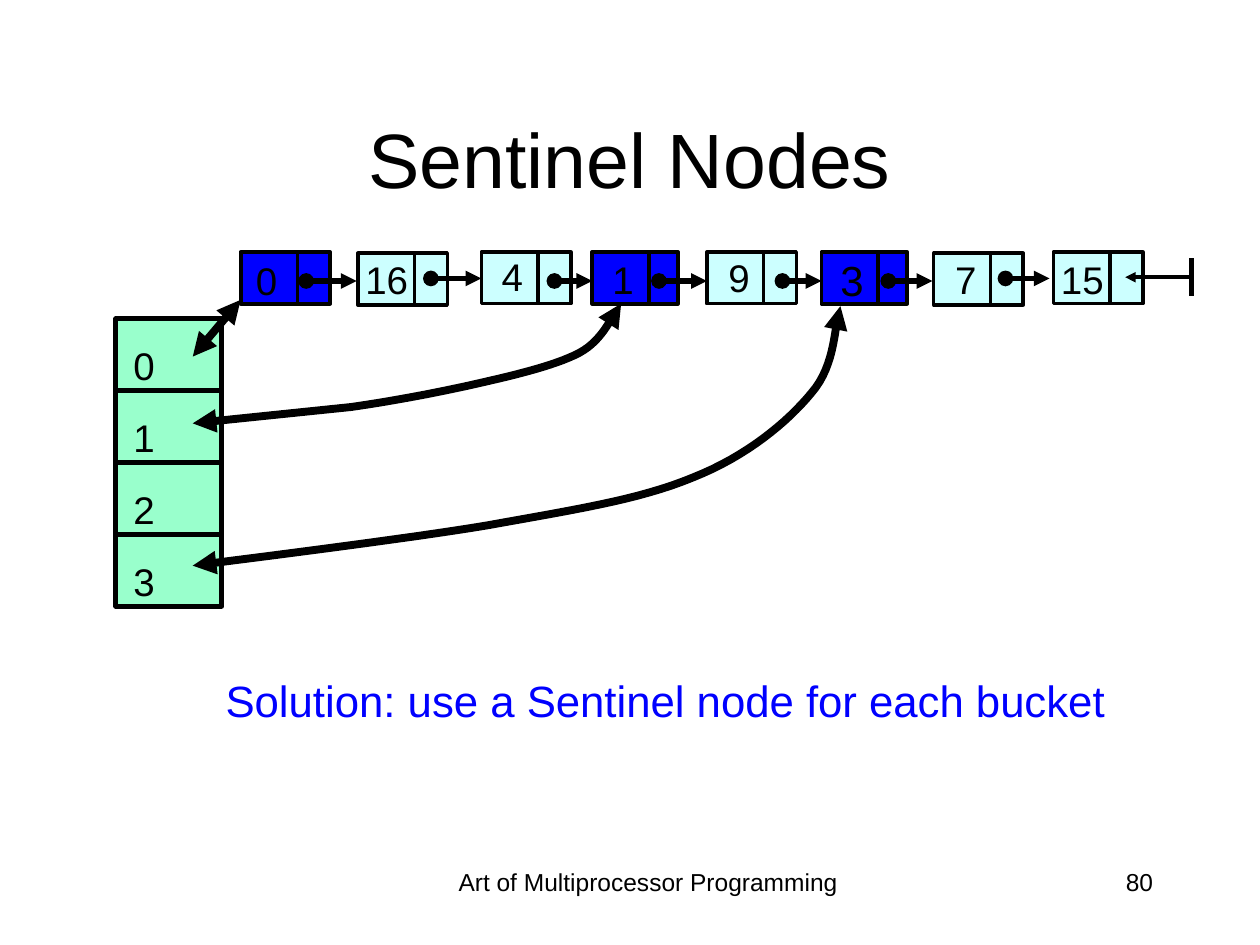
"""Draw a hash table whose buckets point at sentinel nodes in a linked list."""
from dataclasses import dataclass
from typing import Any, NamedTuple

from lxml import etree
from pptx import Presentation
from pptx.dml.color import RGBColor
from pptx.enum.shapes import MSO_CONNECTOR, MSO_SHAPE
from pptx.enum.text import MSO_ANCHOR, MSO_AUTO_SIZE, PP_ALIGN
from pptx.oxml.ns import qn
from pptx.util import Inches, Pt

ROUND = MSO_SHAPE.ROUNDED_RECTANGLE
STRAIGHT = MSO_CONNECTOR.STRAIGHT
LEFT, CENTER, RIGHT = PP_ALIGN.LEFT, PP_ALIGN.CENTER, PP_ALIGN.RIGHT
MIDDLE = MSO_ANCHOR.MIDDLE
FIT, FIXED = MSO_AUTO_SIZE.SHAPE_TO_FIT_TEXT, MSO_AUTO_SIZE.NONE


@dataclass(frozen=True)
class Theme:
    """Hold the colours, type sizes and line widths."""
    font: str = "Arial"
    black: RGBColor = RGBColor(0, 0, 0)
    blue: RGBColor = RGBColor(0, 0, 255)
    cyan: RGBColor = RGBColor(0xCC, 0xFF, 0xFF)
    green: RGBColor = RGBColor(0x99, 0xFF, 0xCC)
    title: float = 44
    note: float = 25
    large: float = 24
    label: float = 22
    foot: float = 14
    thin: float = 2
    edge: float = 2.25
    frame: float = 2.83
    link: float = 3
    bold: float = 4.5


THEME = Theme()


class Box(NamedTuple):
    """Place a frame in inches."""
    left: float
    top: float
    width: float
    height: float


class Point(NamedTuple):
    """Mark a spot in inches."""
    x: float
    y: float


@dataclass(frozen=True)
class Label:
    """Describe a piece of text and its format."""
    text: str
    box: Box
    size: float = THEME.label
    color: RGBColor = THEME.black
    align: Any = LEFT
    inset: tuple[float, float] = (0.09, 0.05)
    pitch: float = 1.0
    wrap: bool = False
    fit: Any = FIT


@dataclass(frozen=True)
class Node:
    """Describe a list node, its label and the link that leaves it."""
    box: Box
    label: Label
    link: tuple[Point, Point] | None
    marked: bool = False


def apply(target: Any, values: dict[str, Any]) -> None:
    """Set each named value on the target."""
    for name, value in values.items():
        setattr(target, name, value)


def style(para: Any, size: float, color: RGBColor) -> None:
    """Give a paragraph its font."""
    apply(para.font, {"name": THEME.font, "size": Pt(size)})
    para.font.color.rgb = color


def write(slide: Any, label: Label) -> None:
    """Add a text box."""
    frame = slide.shapes.add_textbox(*map(Inches, label.box)).text_frame
    side, edge = map(Inches, label.inset)
    apply(frame, {"text": label.text, "word_wrap": label.wrap, "auto_size": label.fit,
                  "margin_left": side, "margin_right": side,
                  "margin_top": edge, "margin_bottom": edge})
    para = frame.paragraphs[0]
    apply(para, {"alignment": label.align, "line_spacing": label.pitch})
    style(para, label.size, label.color)


def stroke(shape: Any, width: float, head: str = "", tail: str = "") -> None:
    """Give a shape a black line with the named ends."""
    shape.line.color.rgb = THEME.black
    shape.line.width = Pt(width)
    line = shape.element.spPr.find(qn("a:ln"))
    for tag, kind in (("a:headEnd", head), ("a:tailEnd", tail)):
        if kind:
            etree.SubElement(line, qn(tag), type=kind)


def block(slide: Any, box: Box, fill: RGBColor, width: float) -> None:
    """Add a filled cell."""
    shape = slide.shapes.add_shape(ROUND, *map(Inches, box))
    shape.adjustments[0] = 0
    shape.shadow.inherit = False
    shape.fill.solid()
    shape.fill.fore_color.rgb = fill
    stroke(shape, width)


def rule(slide: Any, start: Point, end: Point, width: float,
         head: str = "", tail: str = "") -> None:
    """Add a straight line or arrow."""
    line = slide.shapes.add_connector(STRAIGHT, *map(Inches, (*start, *end)))
    stroke(line, width, head, tail)
    etree.SubElement(line.element.spPr, qn("a:effectLst"))


def bend(knots: list[Point], steps: int = 16) -> list[Point]:
    """Sample a chain of cubic curves, three new knots to a curve."""
    spots = []
    for first in range(0, len(knots) - 1, 3):
        a, b, c, d = knots[first:first + 4]
        for step in range(1, steps + 1):
            t = step / steps
            u = 1 - t
            parts = (u ** 3, 3 * u * u * t, 3 * u * t * t, t ** 3)
            spots.append(Point(*(sum(w * v for w, v in zip(parts, axis))
                                 for axis in zip(a, b, c, d))))
    return spots


def curve(slide: Any, start: Point, knots: list[Point]) -> None:
    """Add a bold curve with an arrow at each end."""
    pen = slide.shapes.build_freeform(Inches(start.x), Inches(start.y))
    pen.add_line_segments([tuple(map(Inches, spot)) for spot in bend(knots)], close=False)
    shape = pen.convert_to_shape()
    shape.shadow.inherit = False
    shape.fill.background()
    stroke(shape, THEME.bold, "triangle", "triangle")


def draw(slide: Any, node: Node) -> None:
    """Add a list node with its split, label and link."""
    box = node.box
    fill, width = (THEME.blue, THEME.edge) if node.marked else (THEME.cyan, THEME.thin)
    block(slide, box, fill, width)
    split = box.left + 0.45
    rule(slide, Point(split, box.top + 0.01), Point(split, box.top + box.height), THEME.thin)
    write(slide, node.label)
    if node.link:
        rule(slide, *node.link, THEME.link, "oval", "triangle")


def make(text: str, left: float, top: float, spot: Box, start: float = 0, end: float = 0,
         level: float = 2.23, marked: bool = False, width: float = 0.71, **extra: Any) -> Node:
    """Build a node from its place, label and link."""
    link = (Point(start, level), Point(end, level)) if end else None
    return Node(Box(left, top, width, 0.41), Label(text, spot, **extra), link, marked)


NODES = [
    make("16", 2.84, 2.01, Box(2.81, 1.98, 0.52, 0.46), 3.42, 3.82, 2.21),
    make("4", 3.82, 2, Box(3.89, 1.96, 0.35, 0.46), 4.4, 4.7),
    make("9", 5.61, 2, Box(5.69, 1.97, 0.35, 0.46), 6.21, 6.52),
    make("7", 7.41, 2.01, Box(7.49, 1.98, 0.35, 0.46), 7.98, 8.33, 2.21),
    make("15", 8.36, 2, Box(8.33, 1.98, 0.52, 0.46)),
    make("0", 1.91, 2, Box(1.94, 1.99, 0.5, 0.46), 2.43, 2.83, marked=True, wrap=True),
    make("1", 4.7, 2, Box(4.77, 1.98, 0.35, 0.46), 5.23, 5.61, marked=True, width=0.68),
    make("3", 6.52, 2, Box(6.67, 1.96, 0.19, 0.46), 7.05, 7.4, marked=True, width=0.68,
         size=THEME.large, inset=(0, 0), pitch=1.15),
]

LOW = [Point(*spot) for spot in (
    (2.72, 3.24), (3.08, 3.19), (3.4, 3.13), (3.72, 3.06), (4.03, 2.99), (4.39, 2.91),
    (4.6, 2.8), (4.8, 2.69), (4.86, 2.49), (4.93, 2.41))]
HIGH = [Point(*spot) for spot in (
    (1.53, 4.49), (1.92, 4.44), (3.21, 4.28), (3.87, 4.17), (4.53, 4.05), (5.07, 3.97),
    (5.5, 3.79), (5.93, 3.62), (6.25, 3.35), (6.44, 3.12), (6.64, 2.89), (6.62, 2.57),
    (6.67, 2.43))]

NOTES = [
    Label("Solution: use a Sentinel node for each bucket", Box(1.7, 5.3, 7.16, 0.51),
          THEME.note, THEME.blue),
    Label("Art of Multiprocessor Programming", Box(3.42, 6.83, 3.45, 0.5), THEME.foot,
          align=CENTER, inset=(0.1, 0.05), wrap=True, fit=FIXED),
    Label("80", Box(7.17, 6.83, 2.08, 0.5), THEME.foot,
          align=RIGHT, inset=(0.1, 0.05), wrap=True, fit=FIXED),
]


def main() -> None:
    """Build and save the slide."""
    deck = Presentation()
    apply(deck, {"slide_width": Inches(10), "slide_height": Inches(7.5)})
    slide = deck.slides.add_slide(deck.slide_layouts[5])
    title = slide.shapes.title
    apply(title, dict(zip(("left", "top", "width", "height"),
                          map(Inches, Box(0.75, 0.89, 8.5, 0.72)))))
    apply(title.text_frame, {"text": "Sentinel Nodes", "vertical_anchor": MIDDLE})
    title.text_frame.paragraphs[0].alignment = CENTER
    style(title.text_frame.paragraphs[0], THEME.title, THEME.black)
    for index in range(4):
        top = 2.53 + 0.57 * index
        block(slide, Box(0.92, top, 0.84, 0.57), THEME.green, THEME.frame)
        write(slide, Label(str(index), Box(1.06, top + 0.13, 0.17, 0.42),
                           inset=(0, 0), pitch=1.15))
    for node in NODES:
        draw(slide, node)
    rule(slide, Point(9.46, 2.05), Point(9.46, 2.35), THEME.frame)
    rule(slide, Point(8.93, 2.2), Point(9.46, 2.2), THEME.thin, "triangle")
    rule(slide, Point(1.53, 2.83), Point(1.91, 2.38), THEME.bold, "triangle", "triangle")
    curve(slide, Point(1.53, 3.36), LOW)
    curve(slide, HIGH[0], HIGH)
    for note in NOTES:
        write(slide, note)
    deck.save("out.pptx")


if __name__ == "__main__":
    main()
